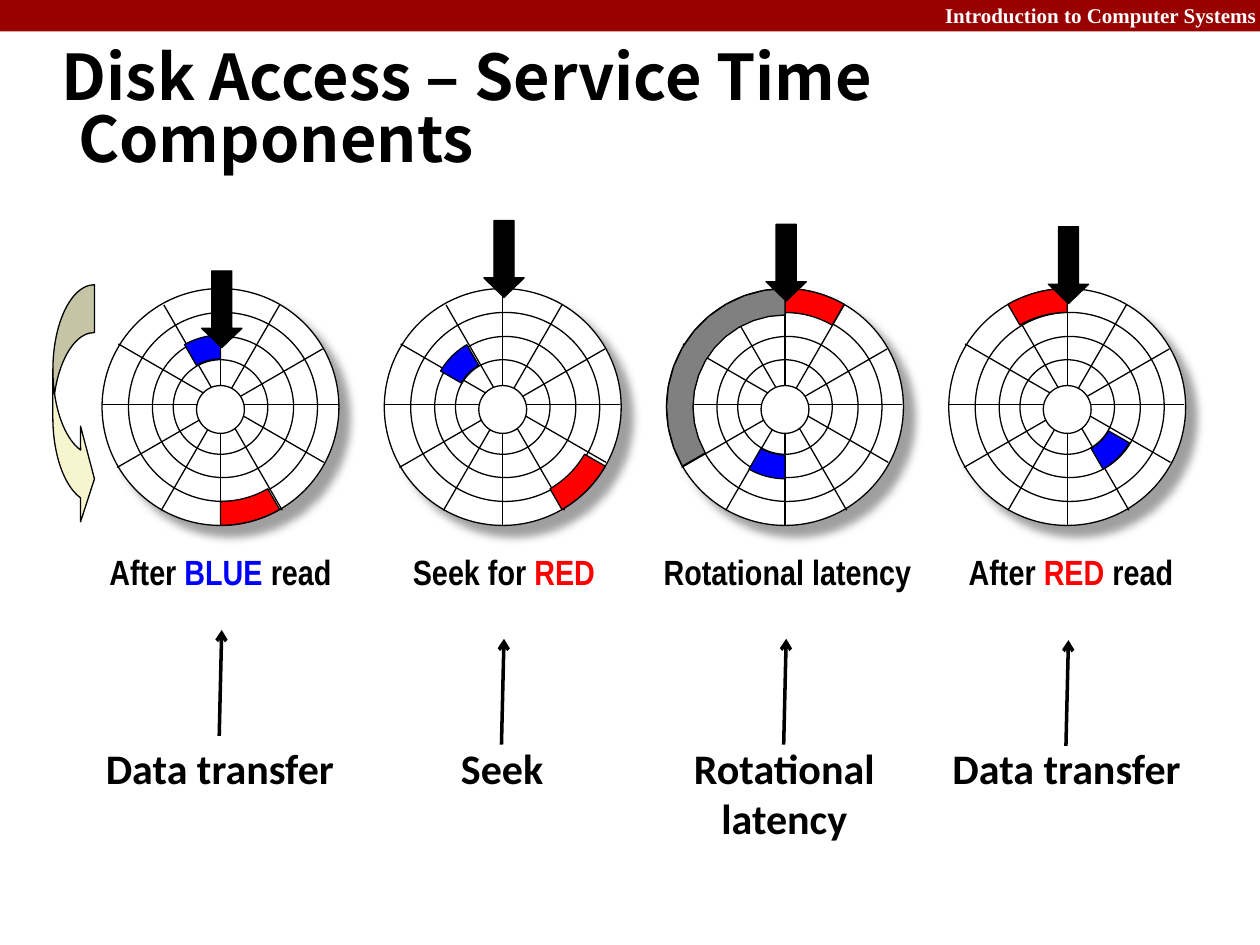
from math import cos, radians, sin

from lxml import etree
from pptx import Presentation
from pptx.dml.color import RGBColor
from pptx.enum.shapes import MSO_CONNECTOR, MSO_SHAPE
from pptx.enum.text import MSO_ANCHOR, MSO_AUTO_SIZE, PP_ALIGN
from pptx.oxml.ns import qn
from pptx.util import Inches, Pt

STRAIGHT = MSO_CONNECTOR.STRAIGHT
OVAL, RECT = MSO_SHAPE.OVAL, MSO_SHAPE.RECTANGLE
DOWN_ARROW, CURVED_ARROW = MSO_SHAPE.DOWN_ARROW, MSO_SHAPE.CURVED_RIGHT_ARROW
CENTER, RIGHT = PP_ALIGN.CENTER, PP_ALIGN.RIGHT
MIDDLE, NO_FIT = MSO_ANCHOR.MIDDLE, MSO_AUTO_SIZE.NONE

COLORS = {"black": "000000", "white": "FFFFFF", "bar": "990000", "blue": "0000FF",
          "red": "FF0000", "gray": "808080", "cream": "F7F5CD"}

# Disk geometry: centres, then (radius, horizontal offset) of each track edge
FIRST_X, PITCH, DISK_Y = 1.75, 2.24, 3.23
TRACKS = [(0.94, 0), (0.75, 0.02), (0.56, 0.02), (0.375, 0)]
HUB = 0.19
OUTER, INNER = (0.75, 0.94), (0.38, 0.57)
# Spoke ends relative to the disk centre
SPOKES = [(0, -0.94, 0, 0.94), (0.47, -0.81, -0.47, 0.82), (0.81, -0.46, -0.82, 0.48),
          (0.93, -0.02, -0.94, -0.02), (0.82, 0.44, -0.81, -0.5), (0.49, 0.82, -0.45, -0.81)]

# Per disk: head top, sectors (colour, radii, start and end angle clockwise from east),
# caption runs, caption width, label lines, bottom of the pointer
STAGES = [
    (2.15, [("blue", INNER, 240, 270), ("red", OUTER, 60, 90)],
     [("After ", "black"), ("BLUE ", "blue"), ("read", "black")], 2.33, ["Data transfer"], 5.84),
    (1.75, [("red", OUTER, 30, 60), ("blue", INNER, 210, 240)],
     [("Seek for ", "black"), ("RED", "red")], 2, ["Seek"], 5.91),
    (1.78, [("red", OUTER, 270, 300), ("blue", INNER, 90, 120), ("gray", (0.73, 0.94), 150, 270)],
     [("Rotational latency", "black")], 2.67, ["Rotational", "latency"], 5.91),
    (1.8, [("red", OUTER, 240, 270), ("blue", INNER, 30, 60)],
     [("After ", "black"), ("RED", "red"), (" read", "black")], 2.33, ["Data transfer"], 5.92),
]
CAPTION_X = [1.75, 4, 6.25, 8.5]


def rgb(name):
    return RGBColor.from_string(COLORS[name])


def paint(sp, fill, line="black"):
    sp.shadow.inherit = False
    sp.fill.solid()
    sp.fill.fore_color.rgb = rgb(fill)
    if line:
        sp.line.color.rgb = rgb(line)
        sp.line.width = Pt(0.75)
    else:
        sp.line.fill.background()


def add_preset(shapes, kind, x, y, w, h, fill, line="black", adj=()):
    sp = shapes.add_shape(kind, Inches(x), Inches(y), Inches(w), Inches(h))
    for i, value in enumerate(adj):
        sp.adjustments[i] = value
    paint(sp, fill, line)
    return sp


def add_circle(shapes, cx, cy, radius):
    return add_preset(shapes, OVAL, cx - radius, cy - radius, 2 * radius, 2 * radius, "white")


def add_line(shapes, x1, y1, x2, y2, width=0.75, arrow=False):
    cn = shapes.add_connector(STRAIGHT, Inches(x1), Inches(y1), Inches(x2), Inches(y2))
    cn.line.color.rgb = rgb("black")
    cn.line.width = Pt(width)
    if arrow:
        etree.SubElement(cn.line._get_or_add_ln(), qn("a:tailEnd"), type="arrow")
    etree.SubElement(cn._element.spPr, qn("a:effectLst"))


def add_sector(shapes, cx, cy, fill, radii, start, end, steps=12):
    angles = [radians(start + (end - start) * i / steps) for i in range(steps + 1)]
    edge = [(radii[0], a) for a in angles] + [(radii[1], a) for a in reversed(angles)]
    points = [(Inches(cx + r * cos(a)), Inches(cy + r * sin(a))) for r, a in edge]
    fb = shapes.build_freeform(*points[0])
    fb.add_line_segments(points[1:], close=True)
    paint(fb.convert_to_shape(), fill)


def add_drop_shadow(sp):
    effects = sp._element.spPr.find(qn("a:effectLst"))
    shadow = etree.SubElement(effects, qn("a:outerShdw"), blurRad=str(Pt(5)),
                              dist=str(Pt(8.5)), dir="2700000", algn="ctr", rotWithShape="0")
    color = etree.SubElement(shadow, qn("a:srgbClr"), val=COLORS["gray"])
    etree.SubElement(color, qn("a:alpha"), val="75000")


def add_text(shapes, x, y, w, h, lines, size, font, align=CENTER, wrap=True):
    """Each line is a list of (text, colour) runs."""
    tf = shapes.add_textbox(Inches(x), Inches(y), Inches(w), Inches(h)).text_frame
    tf.word_wrap = wrap
    for i, runs in enumerate(lines):
        p = tf.paragraphs[0] if i == 0 else tf.add_paragraph()
        p.alignment = align
        for text, color in runs:
            r = p.add_run()
            r.text = text
            set_font(r.font, size, font, color)


def set_font(font, size, name, color):
    font.size, font.name, font.bold = Pt(size), name, True
    font.color.rgb = rgb(color)


def add_title(s, text):
    title = s.shapes.title
    title.left, title.top = Inches(0.39), Inches(0.48)
    title.width, title.height = Inches(8.85), Inches(0.83)
    tf = title.text_frame
    tf.auto_size, tf.vertical_anchor, tf.word_wrap = NO_FIT, MIDDLE, True
    p = tf.paragraphs[0]
    p.alignment = PP_ALIGN.LEFT
    p.line_spacing = 0.83
    pPr = p._p.get_or_add_pPr()
    pPr.set("marL", str(Inches(0.13)))
    pPr.set("indent", str(Inches(-0.13)))
    r = p.add_run()
    r.text = text
    set_font(r.font, 36, "Noto Sans CJK SC", "black")


def add_disk(s, cx, head_top, sectors):
    shapes = s.shapes.add_group_shape().shapes
    rings = [add_circle(shapes, cx + dx, DISK_Y, radius) for radius, dx in TRACKS]
    add_drop_shadow(rings[0])
    for x1, y1, x2, y2 in SPOKES:
        add_line(shapes, cx + x1, DISK_Y + y1, cx + x2, DISK_Y + y2)
    add_circle(shapes, cx, DISK_Y + 0.02, HUB)
    for sector in sectors:
        add_sector(shapes, cx, DISK_Y, *sector)
    # Read/write head
    add_preset(shapes, DOWN_ARROW, cx - 0.15, head_top, 0.32, 0.61, "black", adj=(0.5, 0.481))


def main():
    prs = Presentation()
    prs.slide_width, prs.slide_height = Inches(10), Inches(7.5)
    s = prs.slides.add_slide(prs.slide_layouts[5])

    # Header bar and title
    add_preset(s.shapes, RECT, 0, 0, 10, 0.25, "bar", line=None)
    add_text(s.shapes, 6, -0.03, 4.07, 0.3, [[("Introduction to Computer Systems", "white")]],
             12, "Times New Roman", RIGHT)
    add_title(s, "Disk Access – Service Time Components")

    # Disks with caption, pointer and label
    for i, (head_top, sectors, caption, width, label, bottom) in enumerate(STAGES):
        cx = FIRST_X + i * PITCH
        add_disk(s, cx, head_top, sectors)
        add_text(s.shapes, CAPTION_X[i] - width / 2, 4.32, width, 0.43, [caption],
                 20, "Arial Narrow")
        add_text(s.shapes, cx - 1.02, 5.84, 2.03, 0.41 * len(label) + 0.09,
                 [[(line, "black")] for line in label], 24, "Calibri", wrap=False)
        add_line(s.shapes, cx - 0.01, bottom, cx + 0.01, bottom - 0.84, 2, arrow=True)

    # Direction of rotation
    add_preset(s.shapes, CURVED_ARROW, 0.42, 2.26, 0.33, 1.92, "cream", adj=(1.15, 2.3, 0.333))
    prs.save("out.pptx")


if __name__ == "__main__":
    main()
